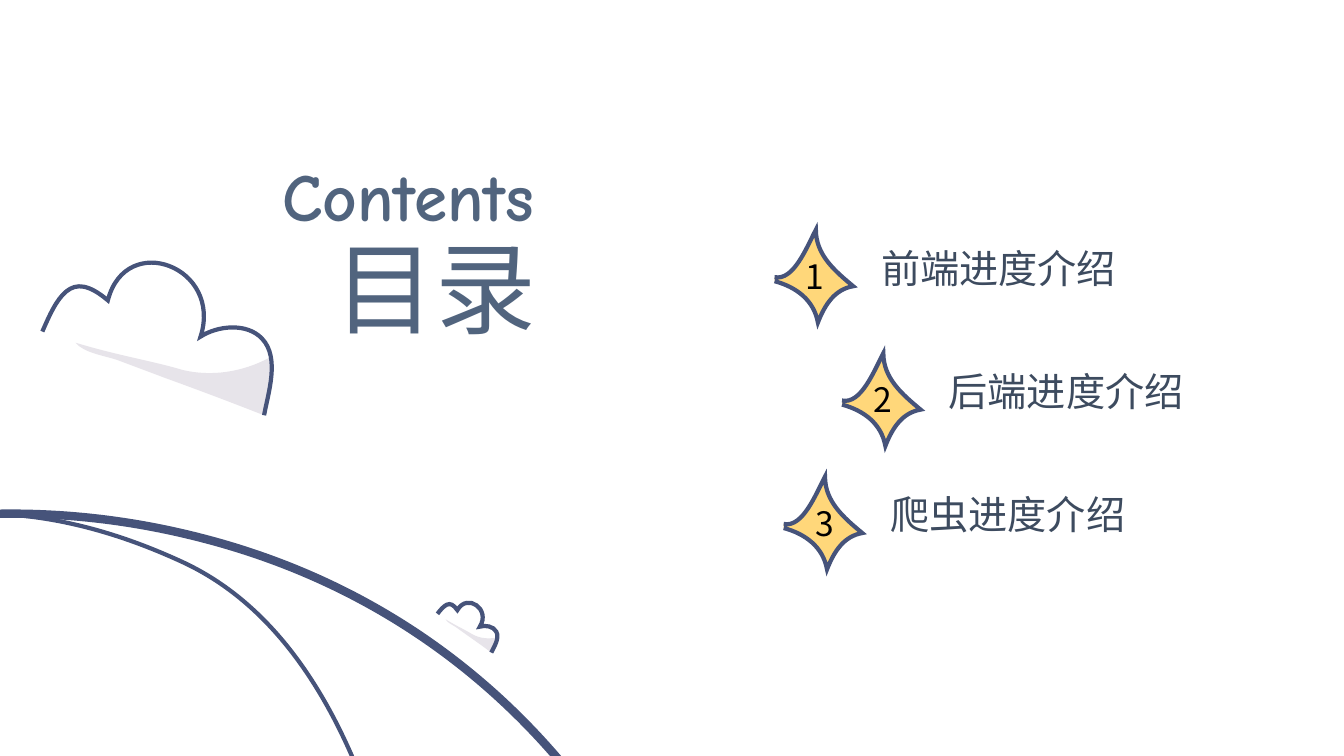
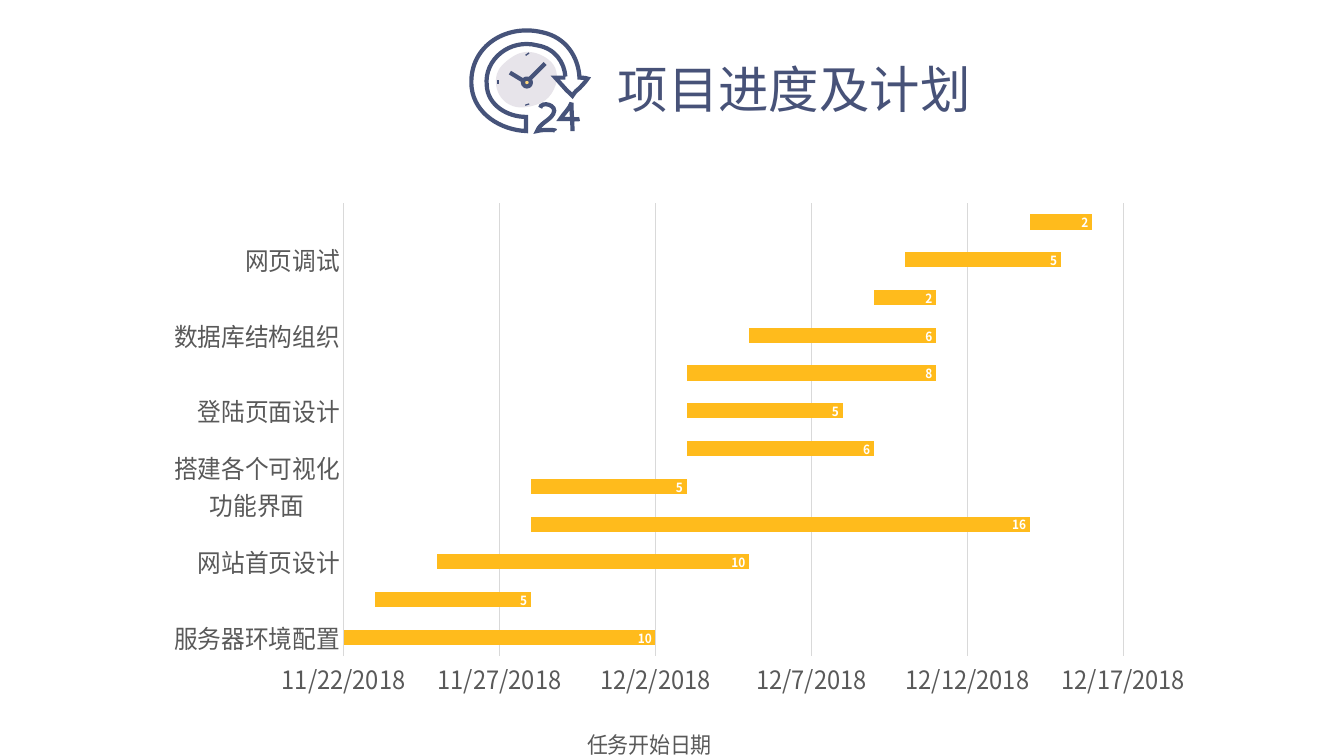
from math import cos, radians, sin

from lxml.etree import SubElement
from pptx import Presentation
from pptx.chart.data import CategoryChartData
from pptx.dml.color import RGBColor
from pptx.enum.chart import (XL_CHART_TYPE, XL_LABEL_POSITION,
                             XL_LEGEND_POSITION, XL_TICK_MARK)
from pptx.enum.shapes import MSO_CONNECTOR, MSO_SHAPE
from pptx.enum.text import MSO_ANCHOR, PP_ALIGN
from pptx.oxml import parse_xml
from pptx.oxml.ns import nsdecls, qn
from pptx.util import Cm, Pt

COLORS = {name: RGBColor.from_string(code) for name, code in {
    "ink": "46537A", "title": "475278", "head": "51647E", "item": "3D4B5F",
    "star": "FFD77A", "hub": "FDD67A", "shade": "E7E4EA", "bar": "FFBB1C",
    "grid": "D9D9D9", "axis": "595959", "black": "000000", "white": "FFFFFF",
}.items()}
JP, SC, COMIC = "Noto Sans CJK JP", "Noto Sans CJK SC", "Comic Neue"
INCH = 2.54
STEPS = 16

# Outlines in inches: a start point, then three points for each Bezier curve.
STAR = [(0, .47), (.19, .51), (.32, .17), (.41, 0), (.41, .25), (.6, .41),
        (.78, .56), (.6, .59), (.5, .74), (.43, .92), (.39, .7), (.22, .57),
        (0, .51)]
PUFF = [(0, 0), (.07, -.16), (.14, -.32), (.24, -.4), (.34, -.48),
        (.46, -.47), (.65, -.31), (.74, -.66), (1.03, -.74), (1.26, -.65),
        (1.5, -.56), (1.68, -.29), (1.57, .05), (1.74, -.06), (2.03, -.09),
        (2.18, .07), (2.36, .26), (2.24, .61), (2.2, .83)]
SHADE = [(.33, .11), (.76, .24), (1.09, .29), (1.39, .38), (1.68, .45),
         (1.99, .4), (2.25, .26), (2.31, .38), (2.2, .83), (2.2, .83),
         (1.87, .7), (1.55, .58), (1.22, .46), (1.06, .4), (.9, .34),
         (.74, .28), (.62, .24), (.41, .21), (.33, .11)]
HILL = [(6.49, 17.44), (8.7, 13.19), (7.28, 6.67), (1.97, 5.33),
        (-3.61, 3.91), (-9.01, 9.2), (-8.29, 14.56), (-7.35, 21.4),
        (1.33, 24.09), (5.68, 18.68), (5.99, 18.29), (6.26, 17.88),
        (6.49, 17.44)]
SLOPE = [(.57, 21.23), (4.38, 19.99), (4.71, 13.79), (4.24, 10.47),
         (4.01, 8.83), (3.51, 6.37), (1.82, 5.58), (-3.5, 3.11),
         (-5.71, 10.71), (-5.37, 14.33), (-5.12, 17.07), (-2.92, 22.36),
         (.57, 21.23)]
TWO = [(5.36, 1.07), (5.37, 1), (5.54, 1.04), (5.49, 1.13), (5.45, 1.2),
       (5.36, 1.22), (5.33, 1.3), (5.37, 1.29), (5.41, 1.29), (5.44, 1.29),
       (5.46, 1.29), (5.52, 1.29), (5.51, 1.3)]
FOUR = [(5.75, 1.18), (5.73, 1.19), (5.69, 1.18), (5.67, 1.18), (5.63, 1.18),
        (5.6, 1.18), (5.56, 1.18), (5.59, 1.13), (5.65, 1.08), (5.67, 1.02),
        (5.67, 1.11), (5.68, 1.21), (5.68, 1.3)]
FACE = [(5.44, .59), (5.38, .54), (5.27, .5), (5.19, .52), (5.12, .53),
        (5.04, .59), (4.99, .64), (4.87, .75), (4.91, .97), (5.06, 1.04),
        (5.15, 1.09), (5.28, 1.06), (5.37, 1.02), (5.48, .97), (5.55, .81),
        (5.52, .71), (5.51, .66), (5.48, .62), (5.44, .59)]
ARROW = [(5.61, .77), (5.58, .77), (5.54, .77), (5.51, .77), (5.52, .78),
         (5.58, .85), (5.6, .87), (5.62, .89), (5.63, .91), (5.65, .92),
         (5.66, .93), (5.67, .94), (5.68, .95), (5.69, .93), (5.71, .91),
         (5.72, .9), (5.75, .88), (5.82, .8), (5.83, .78), (5.81, .77),
         (5.75, .77), (5.75, .77), (5.74, .57), (5.62, .37), (5.38, .32),
         (5, .23), (4.64, .48), (4.68, .87), (4.71, 1.13), (4.97, 1.29),
         (5.22, 1.3), (5.22, 1.25), (5.22, 1.2), (5.22, 1.16), (5.03, 1.16),
         (4.84, 1.04), (4.83, .85), (4.8, .59), (5.06, .38), (5.33, .45),
         (5.51, .48), (5.6, .62), (5.61, .76)]


def draw(slide, outline, at=(0, 0), scale=1, turn=0, fill=None, line=None):
    """Draw a Bezier outline, scaled and turned (degrees) about its origin."""
    c, s = scale * cos(radians(turn)), scale * sin(radians(turn))
    nodes = [(Cm((at[0] + x * c - y * s) * INCH),
              Cm((at[1] + x * s + y * c) * INCH)) for x, y in outline]
    # Sampled points give the frame its true size
    dots = []
    for i in range(0, len(nodes) - 1, 3):
        for step in range(1, STEPS + 1):
            t = step / STEPS
            mix = ((1 - t) ** 3, 3 * t * (1 - t) ** 2,
                   3 * t * t * (1 - t), t ** 3)
            dots.append([round(sum(m * p[k] for m, p in
                                   zip(mix, nodes[i:i + 4]))) for k in (0, 1)])
    pen = slide.shapes.build_freeform(*nodes[0])
    pen.add_line_segments(dots, close=outline[0] == outline[-1])
    shape = pen.convert_to_shape()
    # Real curves take the place of the sampled segments
    track = shape._element.find(".//" + qn("a:path"))
    for segment in track.findall(qn("a:lnTo")):
        track.remove(segment)
    for i in range(1, len(nodes), 3):
        curve = parse_xml(f"<a:cubicBezTo {nsdecls('a')}/>")
        for x, y in nodes[i:i + 3]:
            SubElement(curve, qn("a:pt"), x=str(x - shape.left),
                       y=str(y - shape.top))
        track.insert(1 + i // 3, curve)
    shape.shadow.inherit = False
    if fill:
        shape.fill.solid()
        shape.fill.fore_color.rgb = COLORS[fill]
    else:
        shape.fill.background()
    if line:
        shape.line.color.rgb = COLORS["ink"]
        shape.line.width = Pt(line)
        SubElement(shape.line._get_or_add_ln(), qn("a:miter"), lim="800000")
    else:
        shape.line.fill.background()


def write(slide, text, box, size, font, color, align=PP_ALIGN.LEFT):
    """Add one line of text; box is left, top, width, height in cm."""
    frame = slide.shapes.add_textbox(*map(Cm, box)).text_frame
    frame.word_wrap = False
    para = frame.paragraphs[0]
    para.text = text
    para.alignment = align
    para.font.size = Pt(size)
    para.font.name = font
    para.font.color.rgb = COLORS[color]
    return frame


deck = Presentation()
deck.slide_width, deck.slide_height = Cm(33.87), Cm(19.05)
toc, plan = [deck.slides.add_slide(deck.slide_layouts[6]) for _ in range(2)]

# Contents
write(toc, "目录", (8, 5.56, 5.76, 3.33), 72, JP, "head", PP_ALIGN.RIGHT)
name = write(toc, "Contents", (6.78, 3.76, 6.94, 2.31), 48, COMIC, "head",
             PP_ALIGN.RIGHT)
name.paragraphs[0].font.bold = True
draw(toc, HILL, line=6)
draw(toc, SLOPE, line=3)
for at, scale, turn in [((.42, 3.29), 1, 0), ((4.34, 6.09), .28, 15)]:
    draw(toc, SHADE, at, scale, turn, fill="shade")
    draw(toc, PUFF, at, scale, turn, line=3)
items = [("前端进度介绍", 19.52), ("后端进度介绍", 21.22), ("爬虫进度介绍", 19.75)]
for i, (item, left) in enumerate(items):
    top = 5.79 + 3.11 * i
    draw(toc, STAR, (left / INCH, top / INCH), fill="star", line=3)
    write(toc, str(i + 1), (left + .54, top + .53, .92, 1.27), 24, JP, "black")
    write(toc, item, (left + 2.44, top + .23, 6.5, 1.45), 28, SC, "item")

# Clock and title
draw(plan, TWO, line=3)
draw(plan, FOUR, line=3)
draw(plan, FACE, fill="shade")
hub = plan.shapes.add_shape(MSO_SHAPE.OVAL, Cm(13.18), Cm(1.98), Cm(.2), Cm(.2))
hub.shadow.inherit = False
hub.fill.solid()
hub.fill.fore_color.rgb = COLORS["hub"]
hub.line.color.rgb = COLORS["ink"]
hub.line.width = Pt(3)
hands = [(12.85, 1.83, 13.18, 2.03), (13.36, 1.98, 13.74, 1.6)]
ticks = [(13.28, 1.35, 13.3, 1.38), (12.52, 2.06, 12.57, 2.06),
         (13.28, 2.62, 13.29, 2.65)]
for ends in hands + ticks:
    mark = plan.shapes.add_connector(MSO_CONNECTOR.STRAIGHT, *map(Cm, ends))
    mark.line.color.rgb = COLORS["ink"]
    mark.line.width = Pt(3)
    SubElement(mark._element.spPr, qn("a:effectLst"))
draw(plan, ARROW, line=3)
title = write(plan, "项目进度及计划", (15.47, 1.12, 10.9, 1.9), 36, JP, "title")
title.word_wrap = True
title.vertical_anchor = MSO_ANCHOR.MIDDLE
title.margin_left = title.margin_right = Cm(.1)
title.margin_top = title.margin_bottom = Cm(.1)
title.paragraphs[0].line_spacing = 1.2

# Gantt chart: an unfilled bar up to the start date, then the duration
FIRST = 43426
tasks = [("服务器环境配置", 0, 10), ("搭建可视化功能概览界面", 1, 5),
         ("网站首页设计", 3, 10), ("编写电影数据爬虫", 6, 16),
         ("搭建各个可视化功能界面", 6, 5), ("实现生成可视化图片功能", 11, 6),
         ("登陆页面设计", 11, 5), ("服务器编程", 11, 8),
         ("数据库结构组织", 13, 6), ("实现生成报表功能", 17, 2),
         ("网页调试", 18, 5), ("页面设计美化", 22, 2)]
data = CategoryChartData()
data.categories = [task for task, _, _ in tasks]
data.add_series("任务开始日期", [FIRST + start for _, start, _ in tasks])
data.add_series("预计持续时间(天)", [days for _, _, days in tasks])
chart = plan.shapes.add_chart(XL_CHART_TYPE.BAR_STACKED, Cm(3.99), Cm(2.82),
                              Cm(25.88), Cm(16.43), data).chart
chart.has_title = False
chart.font.size = Pt(10)
chart.font.name = SC
plot = chart.plots[0]
plot.gap_width, plot.overlap = 150, 100
plot.vary_by_categories = False
starts, spans = plot.series
starts.format.fill.background()
starts.format.line.fill.background()
spans.format.fill.solid()
spans.format.fill.fore_color.rgb = COLORS["bar"]
tags = spans.data_labels
tags.show_value = True
tags.position = XL_LABEL_POSITION.INSIDE_END
tags.font.bold = True

cats, dates = chart.category_axis, chart.value_axis
chart.has_legend = True
legend = chart.legend
legend.position = XL_LEGEND_POSITION.BOTTOM
legend.include_in_layout = False
for part, size, color in [(cats.tick_labels, 18, "axis"),
                          (dates.tick_labels, 18, "axis"),
                          (legend, 16, "axis"), (tags, 9, "white")]:
    part.font.size = Pt(size)
    part.font.name = SC
    part.font.color.rgb = COLORS[color]
for axis in (cats, dates):
    axis.major_tick_mark = axis.minor_tick_mark = XL_TICK_MARK.NONE
dates.minimum_scale, dates.maximum_scale = FIRST, FIRST + 25
dates.major_unit = 5
dates.tick_labels.number_format = "m/d/yyyy"
dates.tick_labels.number_format_is_linked = False
dates.format.line.fill.background()
dates.has_major_gridlines = True
for line in (cats.format.line, dates.major_gridlines.format.line):
    line.color.rgb = COLORS["grid"]
    line.width = Pt(.75)

area = chart._chartSpace.find(".//" + qn("c:plotArea"))
for old in area.findall(qn("c:layout")):
    area.remove(old)
layout = parse_xml(f"<c:layout {nsdecls('c')}><c:manualLayout/></c:layout>")
for tag, value in [("layoutTarget", "inner"), ("xMode", "edge"),
                   ("yMode", "edge"), ("x", .265), ("y", .14),
                   ("w", .808), ("h", .695)]:
    SubElement(layout[0], qn("c:" + tag), val=str(value))
area.insert(0, layout)
legend._element.insert(1, parse_xml(
    f"<c:legendEntry {nsdecls('c')}><c:idx val='0'/>"
    "<c:delete val='1'/></c:legendEntry>"))

# Chinese text takes the same font as Latin text
for root in (toc._element, plan._element, chart._chartSpace):
    for latin in list(root.iter(qn("a:latin"))):
        latin.addnext(parse_xml(f"<a:ea {nsdecls('a')} "
                                f"typeface='{latin.get('typeface')}'/>"))

deck.save("out.pptx")
